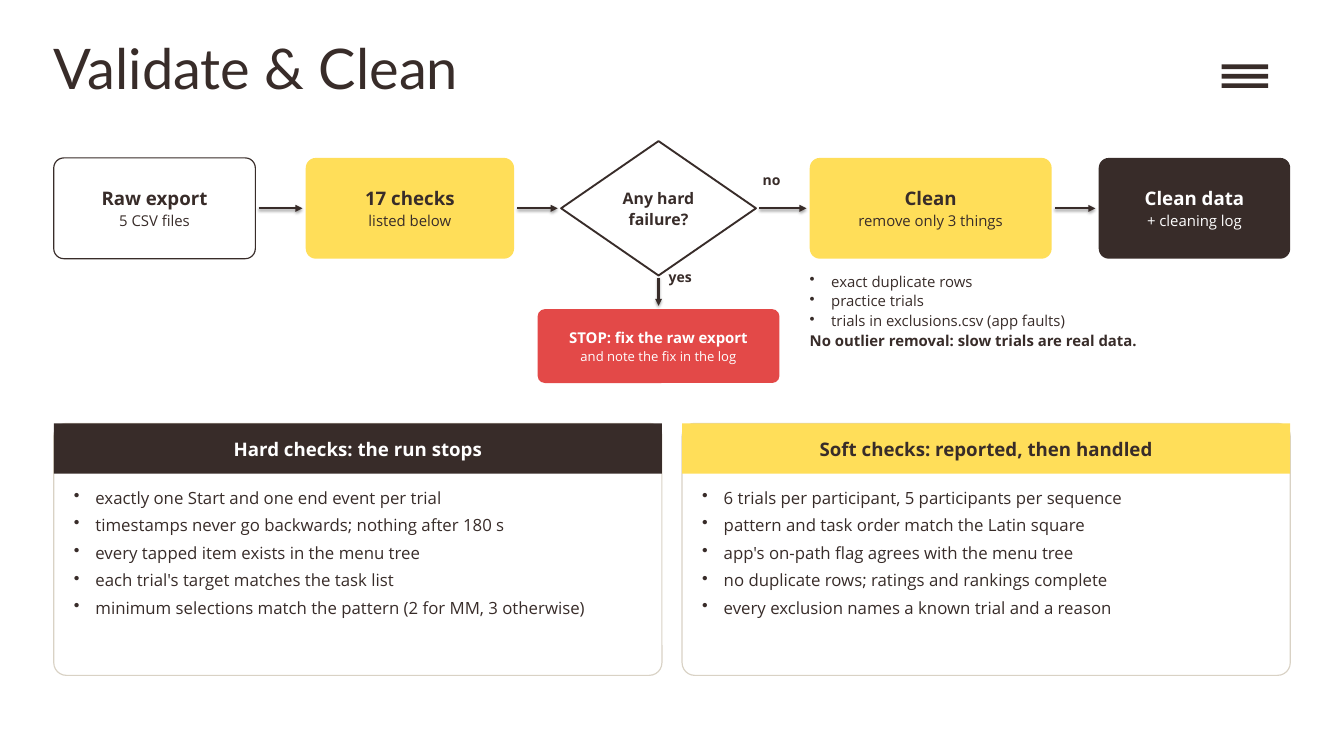
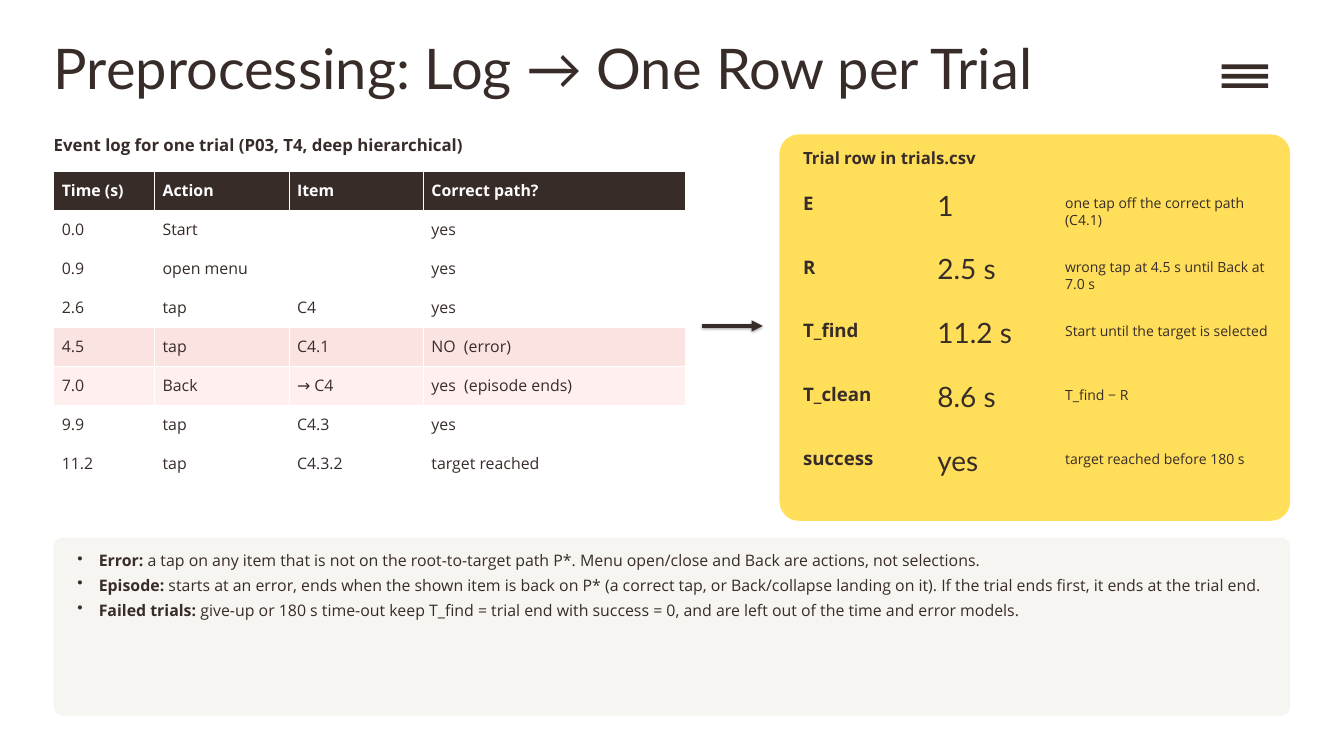
from lxml import etree
from pptx import Presentation
from pptx import util as u
from pptx.dml.color import RGBColor
from pptx.enum import shapes, text
from pptx.oxml.ns import qn

Inches = u.Inches
INK = RGBColor(0x38, 0x2C, 0x29)
YELLOW = RGBColor(0xFF, 0xDE, 0x59)
RED = RGBColor(0xE3, 0x49, 0x48)
WHITE = RGBColor(0xFF, 0xFF, 0xFF)
SAND = RGBColor(0xD9, 0xD2, 0xC5)
CREAM = RGBColor(0xF7, 0xF5, 0xF1)
ERROR_TINT = RGBColor(0xFB, 0xE3, 0xE2)
EPISODE_TINT = RGBColor(0xFF, 0xF0, 0xEF)

HEADING, BODY = "Lato", "Open Sans"
MARGIN, CONTENT_WIDTH = 0.8, 18.4
ROUNDED = shapes.MSO_SHAPE.ROUNDED_RECTANGLE
RECTANGLE = shapes.MSO_SHAPE.RECTANGLE
DIAMOND = shapes.MSO_SHAPE.DIAMOND
MIDDLE = text.MSO_ANCHOR.MIDDLE
CENTER = text.PP_ALIGN.CENTER


# Shared helpers: boxes are (left, top, width, height) in inches
def place(box):
    return [Inches(length) for length in box]


def write(frame, words, size, lead="", bold=False, color=INK, font=BODY,
          align=None, after=6, bullet=False):
    """Append one paragraph, with an optional bold lead-in."""
    paragraph = frame.paragraphs[0]
    if paragraph.runs:
        paragraph = frame.add_paragraph()
    if bullet:
        properties = paragraph._p.get_or_add_pPr()
        properties.set("marL", str(Inches(0.32)))
        properties.set("indent", str(-Inches(0.32)))
        etree.SubElement(properties, qn("a:buChar")).set("char", "•")
    paragraph.space_after = u.Pt(after)
    if align is not None:
        paragraph.alignment = align
    for part, heavy in ((lead, True), (words, bold)):
        if part:
            run = paragraph.add_run()
            run.text = part
            run.font.name, run.font.size = font, u.Pt(size)
            run.font.bold, run.font.color.rgb = heavy, color


def set_margins(target, side, end):
    target.margin_left = target.margin_right = Inches(side)
    target.margin_top = target.margin_bottom = Inches(end)


def fit_text(frame):
    frame.word_wrap = True
    frame.auto_size = text.MSO_AUTO_SIZE.SHAPE_TO_FIT_TEXT
    set_margins(frame, 0, 0)
    return frame


def add_note(slide, box, lines, size, **style):
    frame = fit_text(slide.shapes.add_textbox(*place(box)).text_frame)
    for line in lines:
        write(frame, line, size, **style)
    return frame


def add_panel(holder, kind, box, fill, line=None, weight=1.25, corner=0.1, side=0.15):
    panel = holder.shapes.add_shape(kind, *place(box))
    panel.shadow.inherit = False
    panel.fill.solid()
    panel.fill.fore_color.rgb = fill
    if line is None:
        panel.line.fill.background()
    else:
        panel.line.color.rgb, panel.line.width = line, u.Pt(weight)
    if kind == ROUNDED:
        panel.adjustments[0] = corner
    frame = panel.text_frame
    frame.word_wrap, frame.vertical_anchor = True, MIDDLE
    set_margins(frame, side, 0.06)
    return frame


def add_arrow(slide, start, end, weight=2.5):
    arrow = slide.shapes.add_connector(shapes.MSO_CONNECTOR.STRAIGHT,
                                       *place(start + end))
    arrow.line.color.rgb, arrow.line.width = INK, u.Pt(weight)
    outline = arrow.element.spPr.find(qn("a:ln"))
    etree.SubElement(outline, qn("a:tailEnd")).set("type", "triangle")


def add_titled_slide(deck, heading):
    slide = deck.slides.add_slide(deck.slide_layouts[5])
    title = slide.shapes.title
    title.left, title.top, title.width, title.height = place((MARGIN, 0.5, 16.5, 1.35))
    frame = fit_text(title.text_frame)
    frame.vertical_anchor = text.MSO_ANCHOR.TOP
    write(frame, heading, 60, font=HEADING, align=text.PP_ALIGN.LEFT, after=0)
    # Menu icon
    menu = slide.shapes.add_group_shape()
    for bar in range(3):
        add_panel(menu, RECTANGLE, (18.18, 0.96 + 0.14 * bar, 0.69, 0.07), INK)
    return slide


# Slide 1 regions
def add_step(slide, box, name, detail, fill, color=INK, line=None, size=20, detail_size=16):
    frame = add_panel(slide, ROUNDED, box, fill, line)
    write(frame, name, size, bold=True, color=color, align=CENTER, after=2)
    write(frame, detail, detail_size, color=color, align=CENTER, after=2)


def add_validation_flow(slide, box):
    left, top, _, height = box
    axis, clearance = top + height / 2, 0.05
    steps = [
        (0, 3, "Raw export", "5 CSV files", WHITE, INK, INK),
        (3.75, 3.1, "17 checks", "listed below", YELLOW, INK, None),
        (7.55, 2.9, None, None, WHITE, INK, INK),
        (11.25, 3.6, "Clean", "remove only 3 things", YELLOW, INK, None),
        (15.55, 2.85, "Clean data", "+ cleaning log", INK, WHITE, None),
    ]
    for offset, width, name, detail, fill, color, line in steps:
        if name:
            add_step(slide, (left + offset, top + 0.25, width, 1.5),
                     name, detail, fill, color, line)
        else:
            decision = add_panel(slide, DIAMOND, (left + offset, top, width, height),
                                 fill, line, weight=2)
            for words in ("Any hard", "failure?"):
                write(decision, words, 17, bold=True, align=CENTER, after=2)
    for step, following in zip(steps, steps[1:]):
        add_arrow(slide, (left + step[0] + step[1] + clearance, axis),
                  (left + following[0] - clearance, axis))

    # Branches of the decision
    center, bottom = left + 9, top + height
    add_note(slide, (left + 10.55, top + 0.45, 0.7, 0.4), ["no"], 15, bold=True)
    add_arrow(slide, (center, bottom + 0.03), (center, bottom + 0.45))
    add_note(slide, (center + 0.15, bottom - 0.1, 0.7, 0.4), ["yes"], 15, bold=True)
    add_step(slide, (center - 1.8, bottom + 0.5, 3.6, 1.1), "STOP: fix the raw export",
             "and note the fix in the log", RED, WHITE, size=16, detail_size=14)

    # What cleaning removes
    removals = add_note(slide, (left + 11.25, top + 1.95, 7.2, 1.7),
                        ["exact duplicate rows", "practice trials",
                         "trials in exclusions.csv (app faults)"],
                        16, bullet=True, after=2)
    write(removals, "No outlier removal: slow trials are real data.", 16, bold=True)


def add_check_card(slide, box, heading, checks, fill, color):
    left, top, width, _ = box
    add_panel(slide, ROUNDED, box, WHITE, SAND, corner=0.05)
    band = add_panel(slide, RECTANGLE, (left, top, width, 0.75), fill, side=0.3)
    write(band, heading, 20, bold=True, color=color, after=2)
    add_note(slide, (left + 0.3, top + 0.95, 8.5, 2.75), checks, 18,
             bullet=True, after=8)


def build_validate_slide(deck):
    slide = add_titled_slide(deck, "Validate & Clean")
    add_validation_flow(slide, (MARGIN, 2.1, CONTENT_WIDTH, 2))
    cards = [
        ("Hard checks: the run stops", [
            "exactly one Start and one end event per trial",
            "timestamps never go backwards; nothing after 180 s",
            "every tapped item exists in the menu tree",
            "each trial's target matches the task list",
            "minimum selections match the pattern (2 for MM, 3 otherwise)",
        ], INK, WHITE),
        ("Soft checks: reported, then handled", [
            "6 trials per participant, 5 participants per sequence",
            "pattern and task order match the Latin square",
            "app's on-path flag agrees with the menu tree",
            "no duplicate rows; ratings and rankings complete",
            "every exclusion names a known trial and a reason",
        ], YELLOW, INK),
    ]
    gap = 0.3
    width = (CONTENT_WIDTH - gap) / 2
    for index, card in enumerate(cards):
        add_check_card(slide, (MARGIN + index * (width + gap), 6.3, width, 3.75), *card)


# Slide 2 regions
def add_event_log(slide, box):
    left, top, width, _ = box
    add_note(slide, (left, top, width, 0.45),
             ["Event log for one trial (P03, T4, deep hierarchical)"], 18, bold=True)
    events = [
        ("Time (s)", "Action", "Item", "Correct path?"),
        ("0.0", "Start", "", "yes"),
        ("0.9", "open menu", "", "yes"),
        ("2.6", "tap", "C4", "yes"),
        ("4.5", "tap", "C4.1", "NO  (error)"),
        ("7.0", "Back", "→ C4", "yes  (episode ends)"),
        ("9.9", "tap", "C4.3", "yes"),
        ("11.2", "tap", "C4.3.2", "target reached"),
    ]
    row_fills = {0: INK, 4: ERROR_TINT, 5: EPISODE_TINT}
    row_height = 0.58
    log = slide.shapes.add_table(len(events), 4, *place(
        (left, top + 0.55, width, row_height * len(events)))).table
    log.horz_banding = False
    for column, column_width in zip(log.columns, (1.5, 2, 2, 3.9)):
        column.width = Inches(column_width)
    for number, event in enumerate(events):
        log.rows[number].height = Inches(row_height)
        for column, words in enumerate(event):
            cell = log.cell(number, column)
            add_borders(cell)
            cell.fill.solid()
            cell.fill.fore_color.rgb = row_fills.get(number, WHITE)
            cell.vertical_anchor = MIDDLE
            set_margins(cell, 0.12, 0.05)
            write(cell.text_frame, words, 17, bold=number == 0,
                  color=INK if number else WHITE, after=0)


def add_borders(cell):
    properties = cell._tc.get_or_add_tcPr()
    for side in ("lnL", "lnR", "lnT", "lnB"):
        border = etree.SubElement(properties, qn(f"a:{side}"), w=str(u.Pt(1)))
        fill = etree.SubElement(border, qn("a:solidFill"))
        etree.SubElement(fill, qn("a:srgbClr"), val=str(WHITE))


def add_trial_row(slide, box):
    left, top, _, _ = box
    add_panel(slide, ROUNDED, box, YELLOW, corner=0.05)
    add_note(slide, (left + 0.35, top + 0.2, 7, 0.5), ["Trial row in trials.csv"],
             18, bold=True)
    measures = [
        ("E", "1", "one tap off the correct path (C4.1)"),
        ("R", "2.5 s", "wrong tap at 4.5 s until Back at 7.0 s"),
        ("T_find", "11.2 s", "Start until the target is selected"),
        ("T_clean", "8.6 s", "T_find − R"),
        ("success", "yes", "target reached before 180 s"),
    ]
    for index, (measure, value, meaning) in enumerate(measures):
        row = top + 0.8 + 0.95 * index
        add_note(slide, (left + 0.35, row + 0.05, 2, 0.6), [measure], 20, bold=True)
        add_note(slide, (left + 2.35, row, 1.9, 0.7), [value], 30, font=HEADING)
        add_note(slide, (left + 4.25, row + 0.1, 3.2, 0.85), [meaning], 15)


def add_definitions(slide, box):
    left, top, _, _ = box
    add_panel(slide, ROUNDED, box, CREAM, corner=0.05)
    frame = add_note(slide, (left + 0.35, top + 0.2, 17.8, 2.4), [], 17)
    definitions = [
        ("Error: ", "a tap on any item that is not on the root-to-target path P*. "
                    "Menu open/close and Back are actions, not selections."),
        ("Episode: ", "starts at an error, ends when the shown item is back on P* "
                      "(a correct tap, or Back/collapse landing on it). "
                      "If the trial ends first, it ends at the trial end."),
        ("Failed trials: ", "give-up or 180 s time-out keep T_find = trial end with "
                            "success = 0, and are left out of the time and error models."),
    ]
    for term, meaning in definitions:
        write(frame, meaning, 17, lead=term, bullet=True)


def build_preprocessing_slide(deck):
    slide = add_titled_slide(deck, "Preprocessing: Log → One Row per Trial")
    add_event_log(slide, (MARGIN, 2, 9.4, 5.19))
    add_arrow(slide, (10.45, 4.85), (11.35, 4.85), weight=4)
    add_trial_row(slide, (11.6, 2, 7.6, 5.75))
    add_definitions(slide, (MARGIN, 8, CONTENT_WIDTH, 2.65))


def main():
    deck = Presentation()
    deck.slide_width, deck.slide_height = Inches(20), Inches(11.25)
    build_validate_slide(deck)
    build_preprocessing_slide(deck)
    deck.save("out.pptx")


if __name__ == "__main__":
    main()
